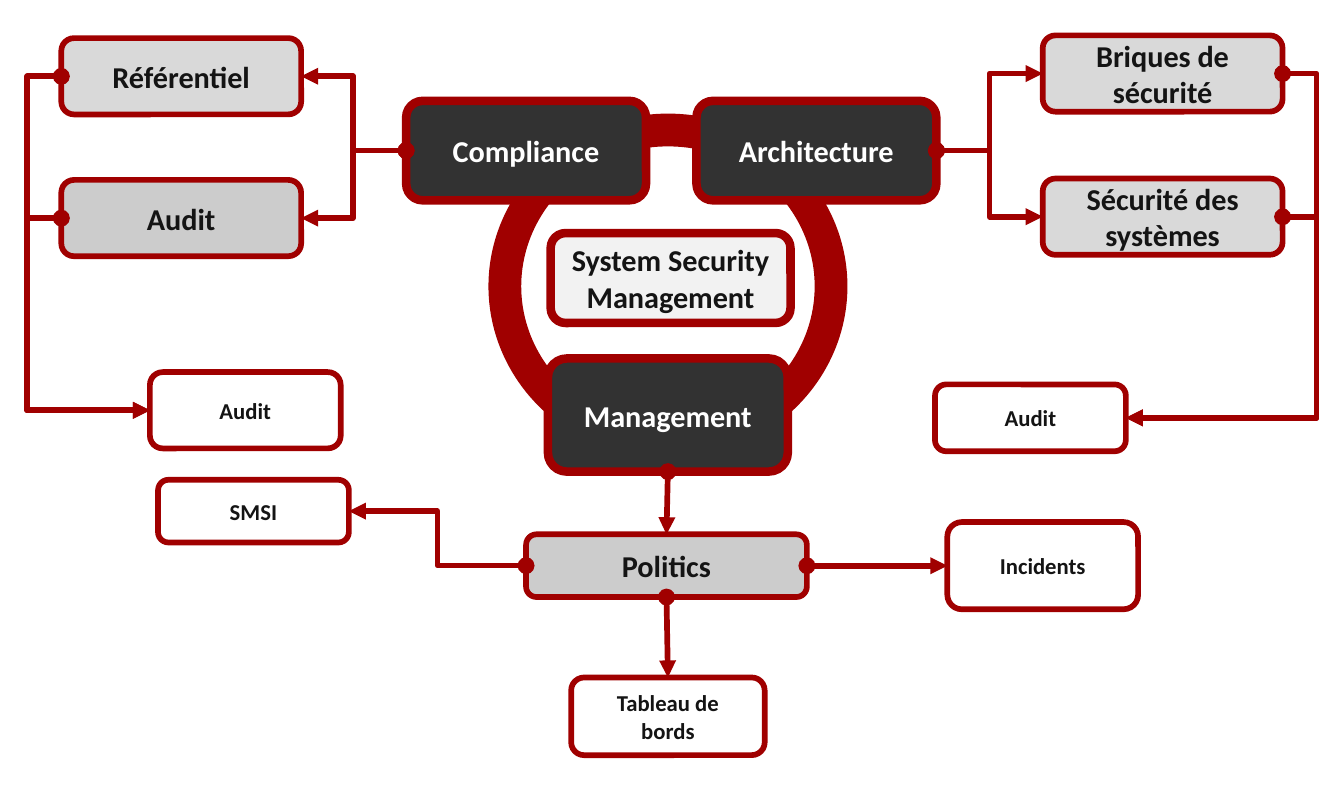
import pptx
import pptx.util
import pptx.dml.color
import pptx.enum.shapes
import pptx.enum.text
import pptx.oxml
import pptx.oxml.ns
from lxml import etree

Inches = pptx.util.Inches
Pt = pptx.util.Pt
SHAPE = pptx.enum.shapes.MSO_SHAPE
CONNECTOR = pptx.enum.shapes.MSO_CONNECTOR
qn = pptx.oxml.ns.qn

RED, DARK, INK, WHITE = "A00000", "323232", "141414", "FFFFFF"
TOP, LEFT, BOTTOM, RIGHT = range(4)


def rgb(value):
    return pptx.dml.color.RGBColor.from_string(value)


def paint(sp, fill, width):
    """Give a shape its fill and red outline, without a shadow."""
    sp.shadow.inherit = False
    sp.fill.solid()
    sp.fill.fore_color.rgb = rgb(fill)
    sp.line.color.rgb = rgb(RED)
    sp.line.width = Pt(width)


prs = pptx.Presentation()
prs.slide_width, prs.slide_height = Inches(9.86), Inches(5.81)
s = prs.slides.add_slide(prs.slide_layouts[6])

ring = s.shapes.add_shape(SHAPE.DONUT, Inches(3.59), Inches(0.84), Inches(2.62), Inches(2.52))
ring.adjustments[0] = 0.09
paint(ring, RED, 1)

# Outline width, text size and text colour of each kind of box
kinds = {
    "pillar": (4.5, 16, WHITE),
    "centre": (4.5, 16, INK),
    "topic": (3, 16, INK),
    "detail": (3, 12, INK),
}

# key: text, kind, fill, left, top, width, height
boxes = {
    "compliance": ("Compliance", "pillar", DARK, 2.98, 0.74, 1.76, 0.73),
    "architecture": ("Architecture", "pillar", DARK, 5.11, 0.74, 1.76, 0.73),
    "management": ("Management", "pillar", DARK, 4.02, 2.63, 1.76, 0.83),
    "system": ("System Security\nManagement", "centre", "F2F2F2", 4.04, 1.71, 1.76, 0.66),
    "politics": ("Politics", "topic", "CCCCCC", 3.86, 3.92, 2.06, 0.46),
    "bricks": ("Briques de sécurité", "topic", "D9D9D9", 7.65, 0.26, 1.76, 0.56),
    "systems": ("Sécurité des systèmes", "topic", "D9D9D9", 7.65, 1.31, 1.76, 0.56),
    "reference": ("Référentiel", "topic", "D9D9D9", 0.45, 0.28, 1.76, 0.56),
    "audit": ("Audit", "topic", "CCCCCC", 0.45, 1.32, 1.76, 0.56),
    "audit left": ("Audit", "detail", WHITE, 1.1, 2.73, 1.4, 0.56),
    "audit right": ("Audit", "detail", WHITE, 6.86, 2.82, 1.4, 0.49),
    "smsi": ("SMSI", "detail", WHITE, 1.16, 3.52, 1.4, 0.46),
    "incidents": ("Incidents", "detail", WHITE, 6.95, 3.83, 1.4, 0.64),
    "dashboard": ("Tableau de bords", "detail", WHITE, 4.19, 4.97, 1.42, 0.57),
}

shapes = {}
for key, (text, kind, fill, *place) in boxes.items():
    width, size, colour = kinds[kind]
    sp = s.shapes.add_shape(SHAPE.ROUNDED_RECTANGLE, *map(Inches, place))
    paint(sp, fill, width)
    tf = sp.text_frame
    tf.text = text
    tf.word_wrap = True
    tf.vertical_anchor = pptx.enum.text.MSO_ANCHOR.MIDDLE
    for p in tf.paragraphs:
        p.alignment = pptx.enum.text.PP_ALIGN.CENTER
        font = p.runs[0].font
        for name, value in {"name": "Calibri", "size": Pt(size), "bold": True}.items():
            setattr(font, name, value)
        font.color.rgb = rgb(colour)
    shapes[key] = sp

# start box, side, end box, side, x of the bend (None: straight)
links = [
    ("architecture", RIGHT, "bricks", LEFT, 7.26),
    ("architecture", RIGHT, "systems", LEFT, 7.26),
    ("compliance", LEFT, "reference", RIGHT, 2.59),
    ("compliance", LEFT, "audit", RIGHT, 2.59),
    ("reference", LEFT, "audit left", LEFT, 0.2),
    ("audit", LEFT, "audit left", LEFT, 0.2),
    ("bricks", RIGHT, "audit right", RIGHT, 9.66),
    ("systems", RIGHT, "audit right", RIGHT, 9.66),
    ("politics", LEFT, "smsi", RIGHT, 3.21),
    ("politics", RIGHT, "incidents", LEFT, None),
    ("politics", BOTTOM, "dashboard", TOP, None),
    ("management", BOTTOM, "politics", TOP, None),
]

for start, start_side, end, end_side, bend in links:
    if bend is None:
        link = s.shapes.add_connector(CONNECTOR.STRAIGHT, 0, 0, 0, 0)
        link.begin_connect(shapes[start], start_side)
        link.end_connect(shapes[end], end_side)
    else:
        ends = []
        for key, side in ((start, start_side), (end, end_side)):
            sp = shapes[key]
            ends += [sp.left + sp.width * (side == RIGHT), sp.top + sp.height // 2]
        link = s.shapes.add_connector(CONNECTOR.ELBOW, *ends)
        ratio = (Inches(bend) - ends[0]) / (ends[2] - ends[0])
        guides = link._element.spPr.find(qn("a:prstGeom")).get_or_add_avLst()
        etree.SubElement(guides, qn("a:gd"), name="adj1", fmla=f"val {round(ratio * 100000)}")
    link.line.color.rgb = rgb(RED)
    link.line.width = Pt(3)
    ln = link.line._get_or_add_ln()
    etree.SubElement(ln, qn("a:headEnd"), type="oval")
    etree.SubElement(ln, qn("a:tailEnd"), type="triangle")
    etree.SubElement(link._element.spPr, qn("a:effectLst"))

prs.save("out.pptx")
